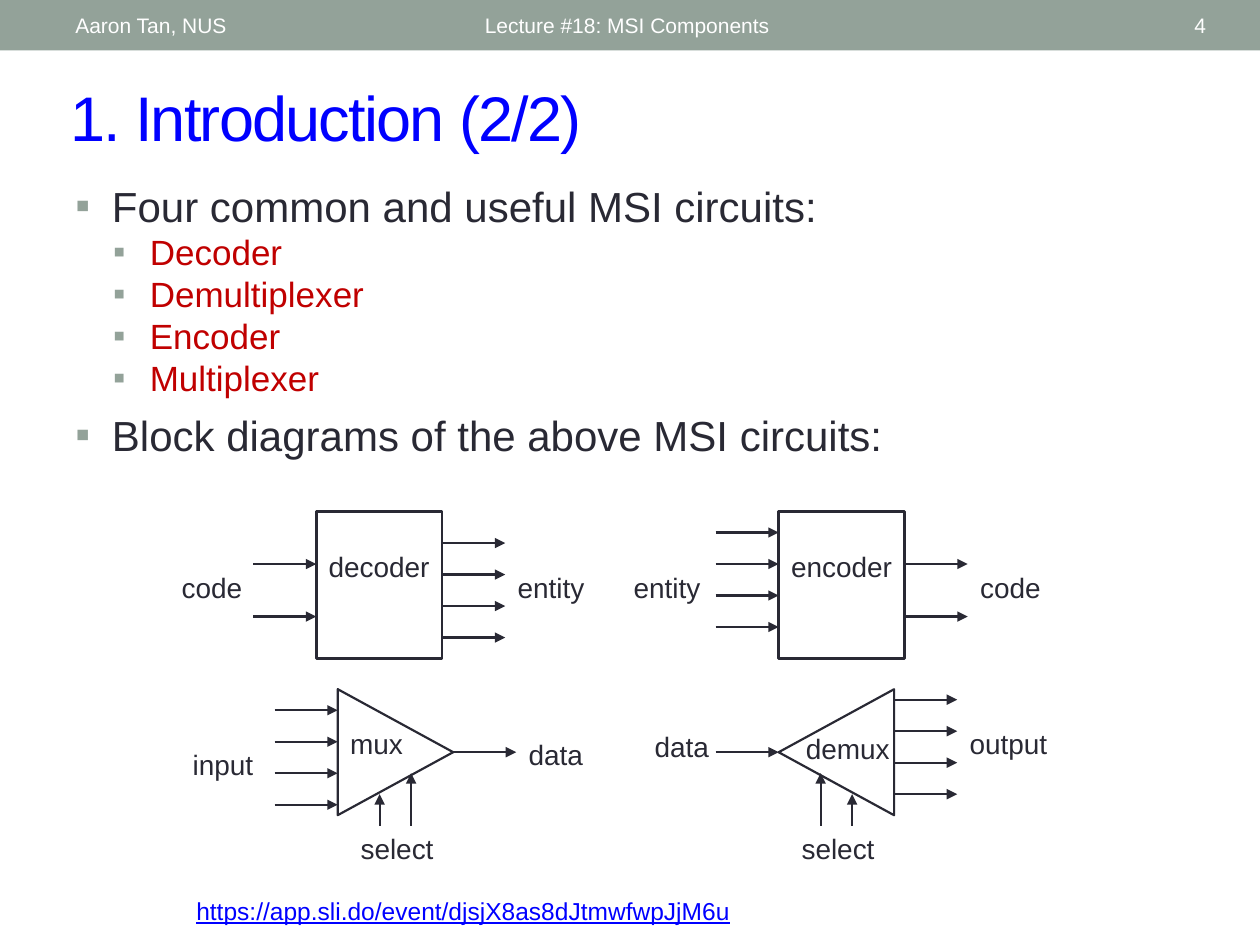
from lxml.etree import SubElement as Sub
from pptx import Presentation as Deck
from pptx.dml.color import RGBColor as Color
from pptx.enum.shapes import MSO_CONNECTOR as Link, MSO_SHAPE as Form
from pptx.enum.text import MSO_ANCHOR as Anchor, PP_ALIGN as Align
from pptx.oxml.ns import qn
from pptx.util import Inches, Pt

CELL = 1 / 12
HUES = {"bar": "93A299", "ink": "292934", "blue": "0000FF", "red": "C00000", "white": "FFFFFF"}
STYLES = {
    "head": {"size": Pt(12), "hue": "white"},
    "title": {"size": Pt(36), "hue": "blue"},
    "main": {"size": Pt(24), "hue": "ink"},
    "sub": {"size": Pt(20), "hue": "red"},
    "label": {"size": Pt(16), "hue": "ink"},
    "link": {"size": Pt(14), "hue": "blue", "underline": True},
}
POINTS = [
    ("Four common and useful MSI circuits:", 0),
    ("Decoder", 1),
    ("Demultiplexer", 1),
    ("Encoder", 1),
    ("Multiplexer", 1),
    ("Block diagrams of the above MSI circuits:", 0),
]
BLOCKS = [
    {"box": (2.51, 4.06, 12, 14), "turn": None, "ins": (5, 10), "outs": (3, 6, 9, 12), "picks": (),
     "labels": [("decoder", 0, 3, 13), ("code", -14, 5, 9), ("entity", 18, 5, 9)]},
    {"box": (6.18, 4.06, 12, 14), "turn": None, "ins": (2, 5, 8, 11), "outs": (5, 10), "picks": (),
     "labels": [("encoder", 0, 3, 13), ("entity", -15, 5, 9), ("code", 18, 5, 9)]},
    {"box": (2.68, 5.47, 11, 12), "turn": 90, "ins": (2, 5, 8, 11), "outs": (6,),
     "picks": ((4, 10), (7, 8)),
     "labels": [("mux", 0, 3, 9), ("data", 17, 4, 9), ("input", -15, 5, 9), ("select", 1, 13, 10)]},
    {"box": (6.18, 5.47, 11, 12), "turn": 270, "ins": (6,), "outs": (1, 4, 7, 10),
     "picks": ((4, 8), (7, 10)),
     "labels": [("demux", 1.4, 3.4, 11), ("data", -13, 3.3, 9), ("output", 17, 3, 10), ("select", 1, 13, 10)]},
]


def tint(name):
    """Return the named colour."""
    return Color.from_string(HUES[name])


def style(part, name):
    """Give a paragraph or run the named text style."""
    part.font.name = "Arial"
    for key, value in STYLES[name].items():
        if key == "hue":
            part.font.color.rgb = tint(value)
        else:
            setattr(part.font, key, value)


def frame(slide, box, anchor=Anchor.TOP):
    """Add an empty wrapping text box and return its frame."""
    text = slide.shapes.add_textbox(*map(Inches, box)).text_frame
    for key, value in {"word_wrap": True, "vertical_anchor": anchor}.items():
        setattr(text, key, value)
    return text


def write(slide, box, words, look, anchor=Anchor.TOP, align=Align.LEFT):
    """Add one line of styled text and return its run."""
    line = frame(slide, box, anchor).paragraphs[0]
    line.alignment = align
    run = line.add_run()
    run.text = words
    style(run, look)
    return run


def header(slide, box):
    """Draw the bar with its three texts."""
    left, top, width, height = box
    bar = slide.shapes.add_shape(Form.RECTANGLE, *map(Inches, box))
    bar.shadow.inherit = False
    bar.fill.solid()
    bar.fill.fore_color.rgb = tint("bar")
    bar.line.fill.background()
    for words, start, share, align in (
        ("Aaron Tan, NUS", 0.05, 0.32, Align.LEFT),
        ("Lecture #18: MSI Components", 0.375, 0.45, Align.LEFT),
        ("4", 0.872, 0.095, Align.RIGHT),
    ):
        spot = (left + start * width, top + 0.05 * height, share * width, 0.9 * height)
        write(slide, spot, words, "head", Anchor.MIDDLE, align)


def title(slide, box):
    """Write the slide title with tight letters."""
    run = write(slide, box, "1. Introduction (2/2)", "title", Anchor.MIDDLE)
    run.font._element.set("spc", "-100")


def body(slide, box):
    """Write the list of points on two levels."""
    text = frame(slide, box)
    for rank, (words, level) in enumerate(POINTS):
        line = text.add_paragraph() if rank else text.paragraphs[0]
        line.level = level
        line.space_before = Pt(6 if rank and not level else 0)
        props = line._p.get_or_add_pPr()
        props.set("marL", str(Inches(0.29 + 0.3 * level)))
        props.set("indent", str(Inches(-0.29)))
        Sub(Sub(props, qn("a:buClr")), qn("a:srgbClr"), val=HUES["bar"])
        Sub(props, qn("a:buFont"), typeface="Arial")
        Sub(props, qn("a:buChar"), char="▪")
        run = line.add_run()
        run.text = words
        style(run, "sub" if level else "main")


def arrow(slide, start, end):
    """Draw an arrow between two points."""
    line = slide.shapes.add_connector(Link.STRAIGHT, *map(Inches, start + end))
    line.line.width = Pt(1.25)
    line.line.color.rgb = tint("ink")
    Sub(line.line._get_or_add_ln(), qn("a:tailEnd"), type="triangle")
    Sub(line._element.spPr, qn("a:effectLst"))


def block(slide, box, turn, ins, outs, picks, labels):
    """Draw a circuit on a grid of cells from the corner of its box."""
    left, top, cols, rows = box

    def at(col, row):
        """Turn a grid place into inches."""
        return left + col * CELL, top + row * CELL

    if turn is None:
        form, spot, size, width = Form.RECTANGLE, at(0, 0), (cols, rows), 1.5
    else:
        gap = (cols - rows) / 2
        form, spot, size, width = Form.ISOSCELES_TRIANGLE, at(gap, -gap), (rows, cols), 1.25
    shape = slide.shapes.add_shape(form, *map(Inches, spot), *(Inches(n * CELL) for n in size))
    shape.shadow.inherit = False
    shape.rotation = turn or 0
    shape.fill.background()
    shape.line.color.rgb = tint("ink")
    shape.line.width = Pt(width)
    for row in ins:
        arrow(slide, at(-6, row), at(0, row))
    for row in outs:
        arrow(slide, at(cols, row), at(cols + 6, row))
    for col, row in picks:
        arrow(slide, at(col, rows + 1), at(col, row))
    for words, col, row, span in labels:
        write(slide, at(col, row) + (span * CELL, 0.37), words, "label")


def main():
    """Build and save the slide."""
    deck = Deck()
    for key, value in {"slide_width": Inches(10), "slide_height": Inches(7.5)}.items():
        setattr(deck, key, value)
    slide = deck.slides.add_slide(deck.slide_layouts[6])
    header(slide, (0, 0, 10, 0.4))
    title(slide, (0.46, 0.57, 9.07, 0.7))
    body(slide, (0.5, 1.38, 9.38, 5.78))
    for part in BLOCKS:
        block(slide, **part)
    write(slide, (1.46, 7.06, 8.04, 0.34), "https://app.sli.do/event/djsjX8as8dJtmwfwpJjM6u", "link")
    deck.save("out.pptx")


if __name__ == "__main__":
    main()
